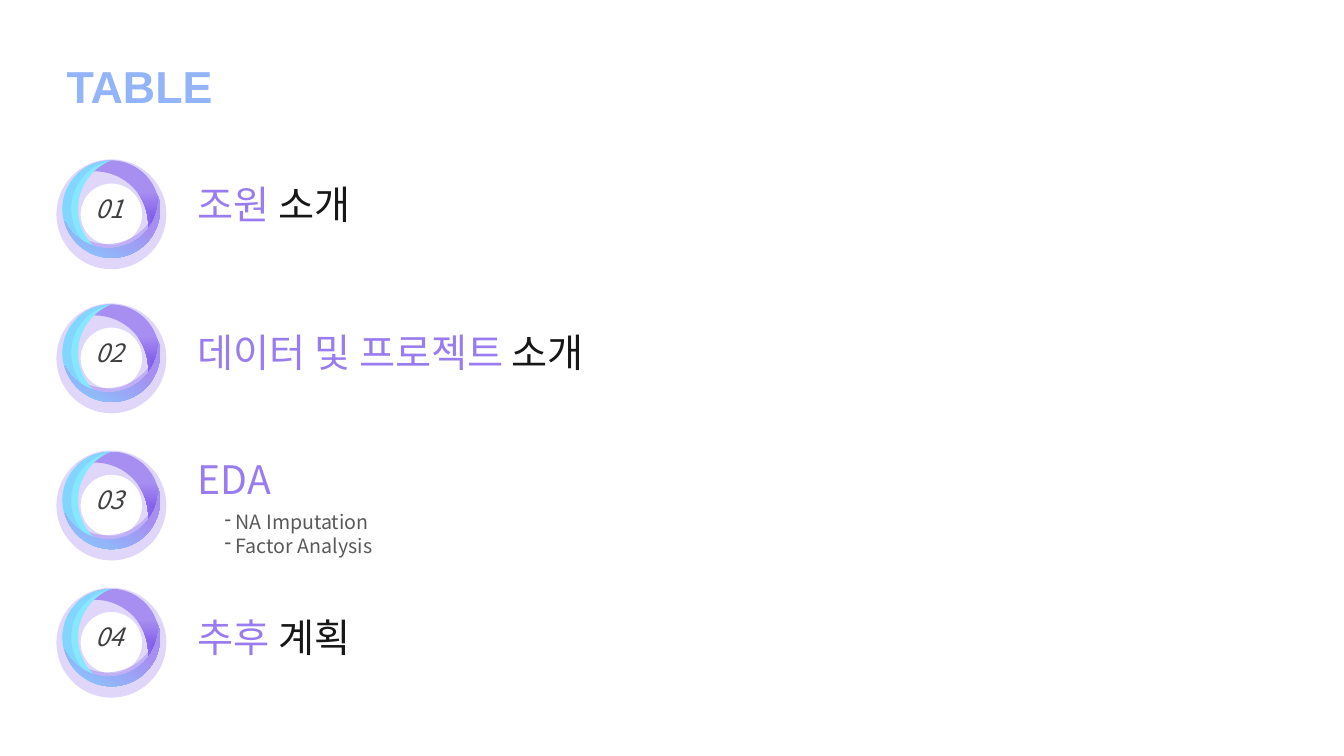
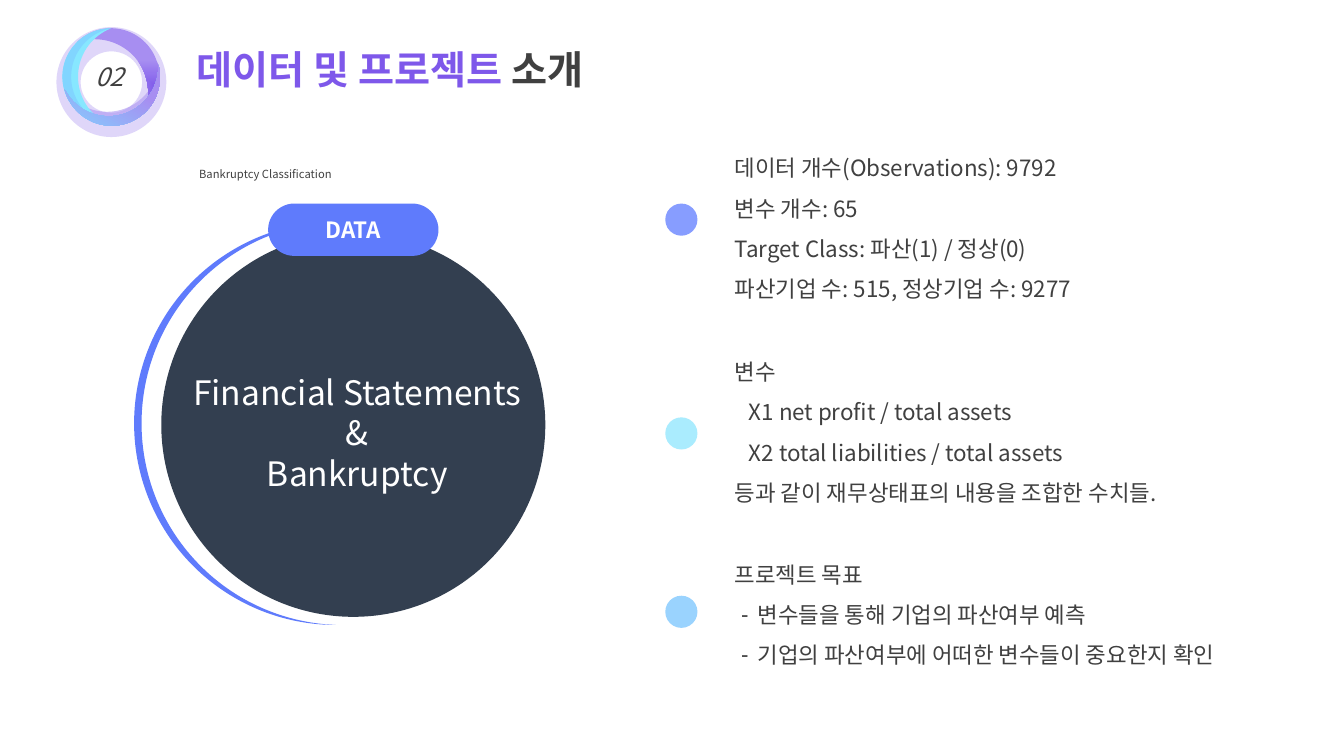
from dataclasses import dataclass

from lxml import etree
from pptx import Presentation
from pptx.dml.color import RGBColor
from pptx.enum.shapes import MSO_SHAPE
from pptx.enum.text import MSO_ANCHOR, MSO_AUTO_SIZE, PP_ALIGN
from pptx.oxml.ns import qn
from pptx.util import Pt

DONUT, MOON, OVAL, PILL = (
    MSO_SHAPE.DONUT, MSO_SHAPE.MOON, MSO_SHAPE.OVAL, MSO_SHAPE.ROUNDED_RECTANGLE)
LEFT, CENTER, JUSTIFY = PP_ALIGN.LEFT, PP_ALIGN.CENTER, PP_ALIGN.JUSTIFY
TOP, MIDDLE = MSO_ANCHOR.TOP, MSO_ANCHOR.MIDDLE
NO_AUTOFIT = MSO_AUTO_SIZE.NONE
COMPARISON_LAYOUT = 4


@dataclass(frozen=True)
class Theme:
    font: str = "Noto Sans CJK KR"
    title_font: str = "Arial"
    contents_size: int = 32
    heading_size: int = 28
    statement_size: int = 24
    number_size: int = 18
    body_size: int = 16
    detail_size: int = 14
    caption_size: int = 8
    white: str = "FFFFFF"
    ink: str = "181717"
    text: str = "404040"
    muted: str = "595959"
    navy: str = "333F50"
    title_blue: str = "93B4F8"
    blue: str = "5F7BFC"
    sky: str = "81D5FF"
    cyan: str = "87E7FF"
    violet: str = "7E58EA"
    topic: str = "997CEF"
    lilac: str = "A78EF1"
    dots: tuple = ("879DFF", "AAECFE", "9AD3FE")


@dataclass(frozen=True)
class Line:
    text: str
    indent: float = 0
    hanging: float = 0


THEME = Theme()


class Deck:
    def __init__(self, theme):
        self.theme = theme
        self.presentation = Presentation()
        self.presentation.slide_width = Pt(960)
        self.presentation.slide_height = Pt(540)

    def new_slide(self):
        layout = self.presentation.slide_layouts[COMPARISON_LAYOUT]
        self.slide = self.presentation.slides.add_slide(layout)
        self.bodies = iter(list(self.slide.placeholders)[1:])

    def place(self, shape, box):
        shape.left, shape.top, shape.width, shape.height = map(Pt, box)

    def bullet(self, paragraph, line):
        properties = paragraph._p.get_or_add_pPr()
        properties.set("marL", str(Pt(line.indent)))
        properties.set("indent", str(Pt(-line.hanging)))
        mark = etree.Element(qn("a:buChar" if line.hanging else "a:buNone"))
        if line.hanging:
            mark.set("char", "-")
        properties.insert_element_before(mark, "a:tabLst", "a:defRPr", "a:extLst")

    def set_text(self, shape, lines, size, color, align=LEFT, spacing=1.0,
                 bold=False, italic=False, font=None, anchor=TOP, wrap=True):
        frame = shape.text_frame
        frame.word_wrap = wrap
        frame.auto_size = NO_AUTOFIT
        frame.vertical_anchor = anchor
        for index, line in enumerate(lines):
            paragraph = frame.add_paragraph() if index else frame.paragraphs[0]
            line = line if isinstance(line, Line) else Line(line)
            paragraph.alignment = align
            paragraph.line_spacing = spacing
            paragraph.space_before = Pt(0)
            paragraph.font.name = font or self.theme.font
            paragraph.font.size = Pt(size)
            paragraph.font.bold = bold
            paragraph.font.italic = italic
            paragraph.font.color.rgb = RGBColor.from_string(color)
            defaults = paragraph._p.pPr.find(qn("a:defRPr"))
            etree.SubElement(defaults, qn("a:ea"), typeface=font or self.theme.font)
            self.bullet(paragraph, line)
            paragraph.add_run().text = line.text

    def accent(self, shape, ending, color):
        run = shape.text_frame.paragraphs[0].add_run()
        run.text = ending
        run.font.color.rgb = RGBColor.from_string(color)

    def title(self, box, text, size, color, **style):
        title = self.slide.shapes.title
        self.place(title, box)
        self.set_text(title, [text], size, color, spacing=1.5, bold=True, **style)
        return title

    def body(self, box, lines, size, color, **style):
        body = next(self.bodies)
        self.place(body, box)
        self.set_text(body, lines, size, color, **style)
        return body

    def label(self, shapes, box, lines, size, color, **style):
        label = shapes.add_textbox(*map(Pt, box))
        self.set_text(label, lines, size, color, **style)

    def shape(self, shapes, kind, box, color=None, adjust=None, rotation=0, opacity=None):
        shape = shapes.add_shape(kind, *map(Pt, box))
        shape.shadow.inherit = False
        shape.line.fill.background()
        shape.rotation = rotation
        if adjust is not None:
            shape.adjustments[0] = adjust
        if color:
            shape.fill.solid()
            shape.fill.fore_color.rgb = RGBColor.from_string(color)
        if opacity:
            tint = shape._element.spPr.find(qn("a:solidFill"))[0]
            etree.SubElement(tint, qn("a:alpha"), val=str(opacity * 1000))
        return shape

    def gradient(self, shape, stops, angle=None):
        shape.fill.gradient()
        for stop, (position, color) in zip(shape.fill.gradient_stops, stops):
            stop.position = position
            stop.color.rgb = RGBColor.from_string(color)
        if angle is not None:
            shape.fill.gradient_angle = angle
            return
        fill = shape._element.spPr.find(qn("a:gradFill"))
        linear = fill.find(qn("a:lin"))
        corner = etree.Element(qn("a:path"), path="rect")
        etree.SubElement(corner, qn("a:fillToRect"), l="100000", t="100000")
        fill.replace(linear, corner)

    def ring(self, top, number):
        theme, left = self.theme, 40.3
        shapes = self.slide.shapes.add_group_shape().shapes
        lower = (left + 26.6, top + 18, 34.6, 69.1)
        upper = (left + 33.8, top - 11.5, 34.6, 69.1)
        side = (left + 4.3, top + 0.9, 34.6, 69.1)
        self.shape(shapes, DONUT, (left, top, 78.5, 78.5), theme.lilac, 0.22, opacity=36)
        self.shape(shapes, MOON, lower, theme.lilac, 0.3, 255, 54)
        crescent = self.shape(shapes, MOON, upper, adjust=0.366, rotation=135)
        self.gradient(crescent, [(0.43, theme.violet), (1, theme.lilac)])
        self.shape(shapes, MOON, side, theme.cyan, 0.322)
        self.shape(shapes, MOON, side, theme.sky, 0.18)
        rim = self.shape(shapes, MOON, lower, adjust=0.204, rotation=255)
        self.gradient(rim, [(0, theme.sky), (0.66, theme.lilac)], angle=315)
        self.label(shapes, (left + 20.9, top + 20.6, 34.6, 28.8), [number],
                   theme.number_size, theme.text, italic=True, wrap=False)

    def dial(self, heading, statement):
        theme = self.theme
        shapes = self.slide.shapes.add_group_shape().shapes
        self.shape(shapes, MOON, (95.8, 158.4, 144, 288), theme.blue, 0.037)
        self.shape(shapes, OVAL, (115.2, 166.3, 274.3, 274.3), theme.navy)
        pill = self.shape(shapes, PILL, (191.5, 145.4, 121.7, 37.4), theme.blue, 0.5)
        self.set_text(pill, [heading], theme.body_size, theme.white,
                      align=CENTER, bold=True, anchor=MIDDLE)
        self.label(shapes, (130.3, 262.1, 249.8, 94.3), statement,
                   theme.statement_size, theme.white, align=CENTER)


def build_contents(deck):
    theme = deck.theme
    deck.new_slide()
    deck.title((40.3, 19.4, 298, 59), "TABLE", theme.contents_size,
               theme.title_blue, font=theme.title_font)
    topics = [
        (113.8, 125.3, "조원", " 소개"),
        (216.7, 231.1, "데이터 및 프로젝트", " 소개"),
        (321.8, 321.8, "EDA", ""),
        (419.8, 434.2, "추후", " 계획"),
    ]
    for number, (ring_top, text_top, topic, ending) in enumerate(topics, 1):
        deck.ring(ring_top, f"{number:02}")
        body = deck.body((133.9, text_top, 298, 41), [topic],
                         theme.heading_size, theme.topic)
        if ending:
            deck.accent(body, ending, theme.ink)
    details = [Line(text, 7.9, 7.9) for text in ("NA Imputation", "Factor Analysis")]
    deck.label(deck.slide.shapes, (153.4, 360.7, 193, 41), details,
               theme.detail_size, theme.muted)


def build_data(deck):
    theme = deck.theme
    deck.new_slide()
    title = deck.title((133.2, 12.2, 298, 72.7), "데이터 및 프로젝트",
                       theme.heading_size, theme.violet)
    deck.accent(title, " 소개", theme.text)
    deck.ring(19.4, "02")
    deck.dial("DATA", ["Financial Statements", "&", "Bankruptcy"])
    sections = [
        (145.4, 97.2, [
            "데이터 개수(Observations): 9792",
            "변수 개수: 65",
            "Target Class: 파산(1) / 정상(0)",
            "파산기업 수: 515, 정상기업 수: 9277",
        ]),
        (298.1, 242.6, [
            "변수",
            Line("X1 net profit / total assets", 10),
            Line("X2 total liabilities / total assets", 10),
            "등과 같이 재무상태표의 내용을 조합한 수치들.",
        ]),
        (425.5, 387.4, [
            "프로젝트 목표",
            Line("변수들을 통해 기업의 파산여부 예측", 16.4, 12),
            Line("기업의 파산여부에 어떠한 변수들이 중요한지 확인", 16.4, 12),
        ]),
    ]
    for color, (dot_top, text_top, lines) in zip(theme.dots, sections):
        deck.shape(deck.slide.shapes, OVAL, (475.2, dot_top, 23, 23), color)
        deck.body((517.7, text_top, 370.8, 30.2 * len(lines)), lines,
                  theme.body_size, theme.text, align=JUSTIFY, spacing=1.5)
    deck.body((135, 116, 200, 20), ["Bankruptcy Classification"],
              theme.caption_size, theme.text)


deck = Deck(THEME)
build_contents(deck)
build_data(deck)
deck.presentation.save("out.pptx")
